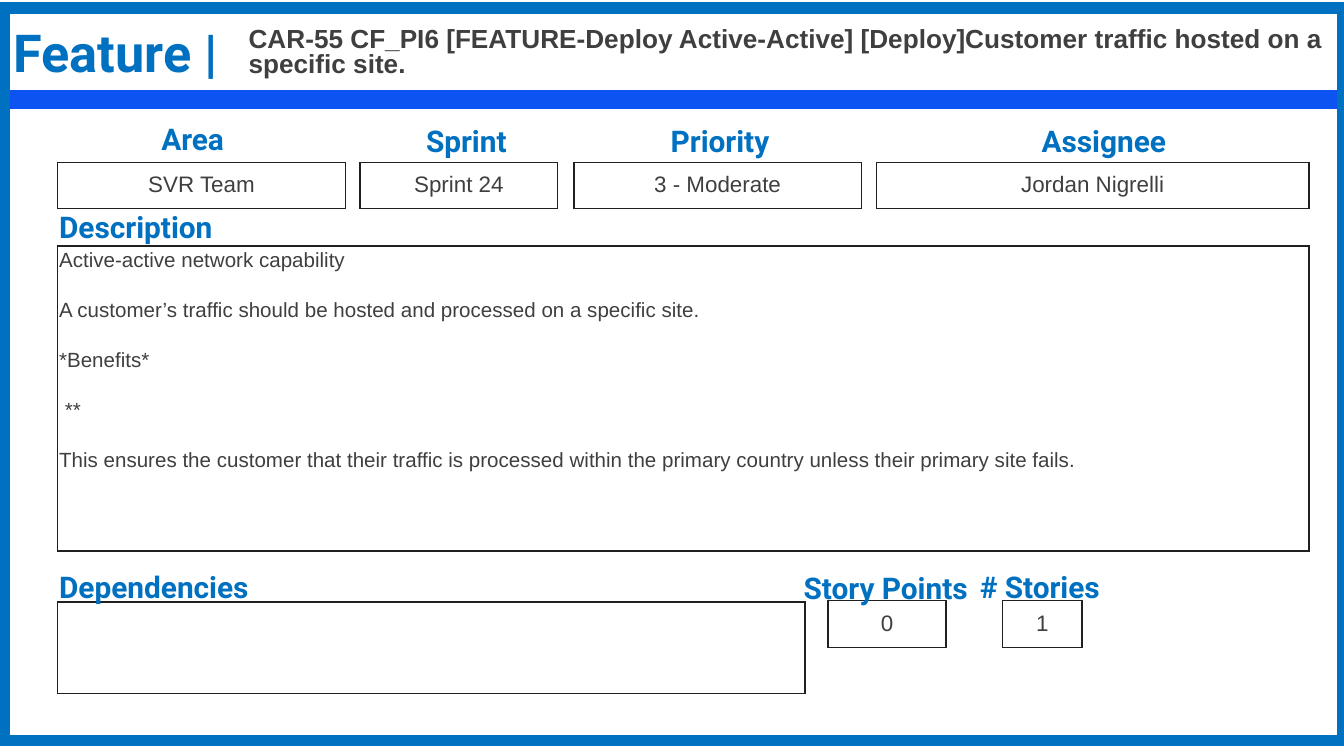
from pptx import Presentation
from pptx.dml.color import RGBColor
from pptx.enum.shapes import MSO_SHAPE as Form
from pptx.enum.text import MSO_ANCHOR as Anchor, MSO_AUTO_SIZE as Fit, PP_ALIGN as Align
from pptx.oxml.ns import qn
from pptx.util import Pt
from lxml.etree import SubElement as Sub

SCALE = 9144  # EMU per px, 100 px to the inch
BLUE, BAR, INK, EDGE = "0070C0", "0C53F2", "3F3F3F", "202020"
LEFT = 43

# label, label left, label top, text, box left, top, width, height
FIELDS = [
    ("Area", 120, 90, "SVR Team", LEFT, 121, 214, 34),
    ("Sprint", 317, 91, "Sprint 24", 268, 121, 147, 34),
    ("Priority", 499, 91, "3 - Moderate", 427, 121, 214, 34),
    ("Assignee", 775, 91, "Jordan Nigrelli", 652, 121, 322, 34),
    ("Dependencies", 44, 423, "", LEFT, 448, 556, 68),
    ("Story Points", 598, 424, "0", 616, 447, 88, 35),
    ("# Stories", 729, 423, "1", 746, 447, 59, 35),
]
DETAILS = [
    "Active-active network capability",
    "A customer’s traffic should be hosted and processed on a specific site.",
    "*Benefits*",
    " **",
    "This ensures the customer that their traffic is processed within "
    "the primary country unless their primary site fails.",
]


def px(n):
    return int(n * SCALE)


def color(code):
    return RGBColor.from_string(code)


def write(shape, lines, size, ink=INK, font="Arial", bold=False, inset=0,
          anchor=Anchor.TOP, align=Align.LEFT, lead=None, gap=0):
    frame = shape.text_frame
    frame.word_wrap = True
    frame.auto_size = Fit.NONE
    frame.vertical_anchor = anchor
    frame.margin_left = frame.margin_right = px(inset)
    frame.margin_top = frame.margin_bottom = px(min(inset, 5))
    for i, line in enumerate(lines):
        para = frame.add_paragraph() if i else frame.paragraphs[0]
        para.alignment = align
        para.space_after = Pt(gap)
        if lead:
            para.line_spacing = lead
        run = para.add_run()
        run.text = line
        run.font.name, run.font.size, run.font.bold = font, Pt(size), bold
        run.font.color.rgb = color(ink)


def rect(slide, area, fill=None, line=None, width=0.75):
    shape = slide.shapes.add_shape(Form.RECTANGLE, *map(px, area))
    shape.shadow.inherit = False
    if fill:
        shape.fill.solid()
        shape.fill.fore_color.rgb = color(fill)
    else:
        shape.fill.background()
    if line:
        shape.line.color.rgb = color(line)
        shape.line.width = Pt(width)
        edge = shape.element.spPr.find(qn("a:ln"))
        Sub(edge, qn("a:miter"), lim="800000")
    else:
        shape.line.fill.background()
    return shape


def label(slide, text, left, top, width=158):
    box = slide.shapes.add_textbox(*map(px, (left, top, width, 16)))
    write(box, [text], 16, BLUE, "Roboto", True)


def field(slide, name, x, y, text, *area):
    box = rect(slide, area, line=EDGE)
    if text:
        write(box, [text], 12, inset=1, anchor=Anchor.MIDDLE,
              align=Align.CENTER, lead=0.9)
    label(slide, name, x, y)


def head(slide):
    title = slide.shapes.title
    title.left, title.top, title.width, title.height = map(px, (0, 19, 179, 28))
    write(title, ["Feature |"], 28, BLUE, "Roboto", True, inset=10, lead=0.8)
    box = slide.shapes.add_textbox(*map(px, (185, 12, 807, 56)))
    write(box, ["CAR-55 CF_PI6 [FEATURE-Deploy Active-Active] "
                "[Deploy]Customer traffic hosted on a specific site."],
          14, bold=True, anchor=Anchor.MIDDLE, lead=0.8)


def main():
    deck = Presentation()
    deck.slide_width = px(1000)
    deck.slide_height = deck.slide_width * 9 // 16
    slide = deck.slides.add_slide(deck.slide_layouts[5])
    head(slide)
    story = rect(slide, (LEFT, 183, 931, 227), line=EDGE)
    write(story, DETAILS, 11, inset=1, gap=13.5)
    label(slide, "Description", 44, 155, 465)
    for item in FIELDS:
        field(slide, *item)
    rect(slide, (3, 67, 996, 14), fill=BAR)
    rect(slide, (3, 6, 996, 545), line=BLUE, width=6)
    deck.save("out.pptx")


if __name__ == "__main__":
    main()
